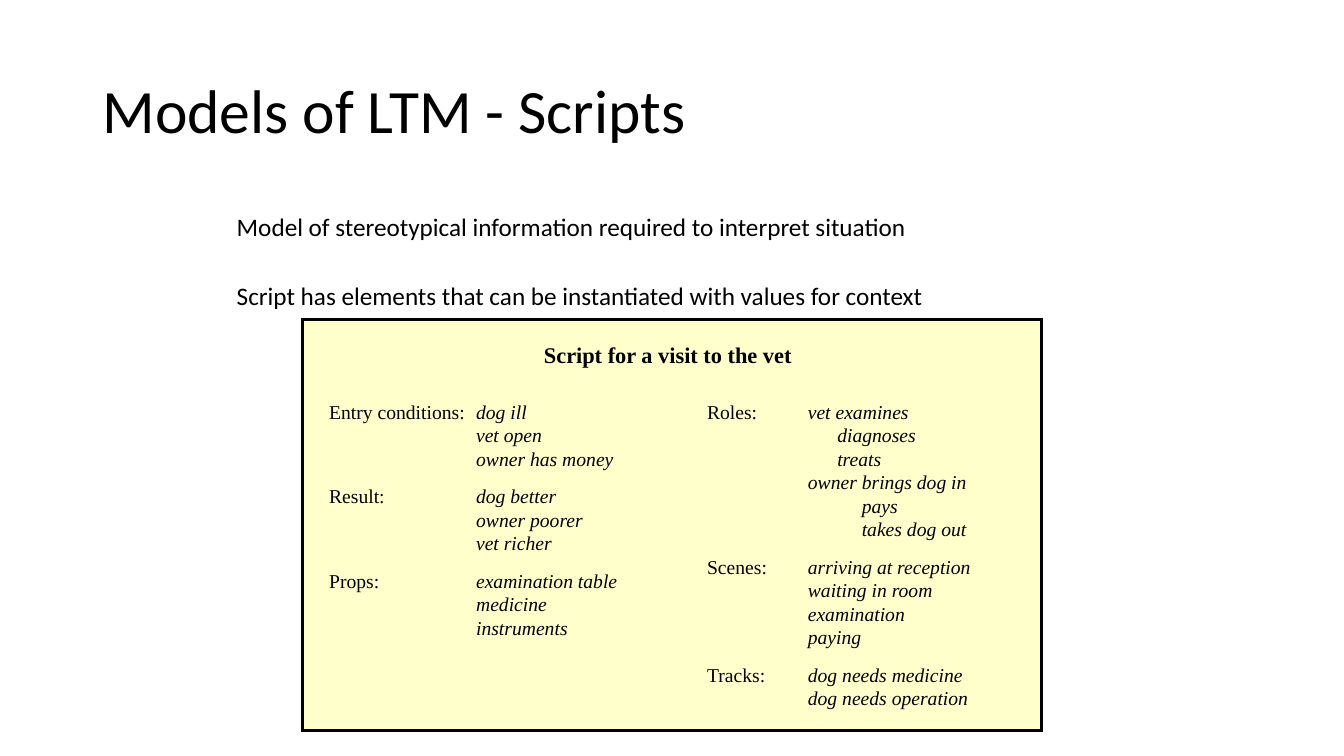
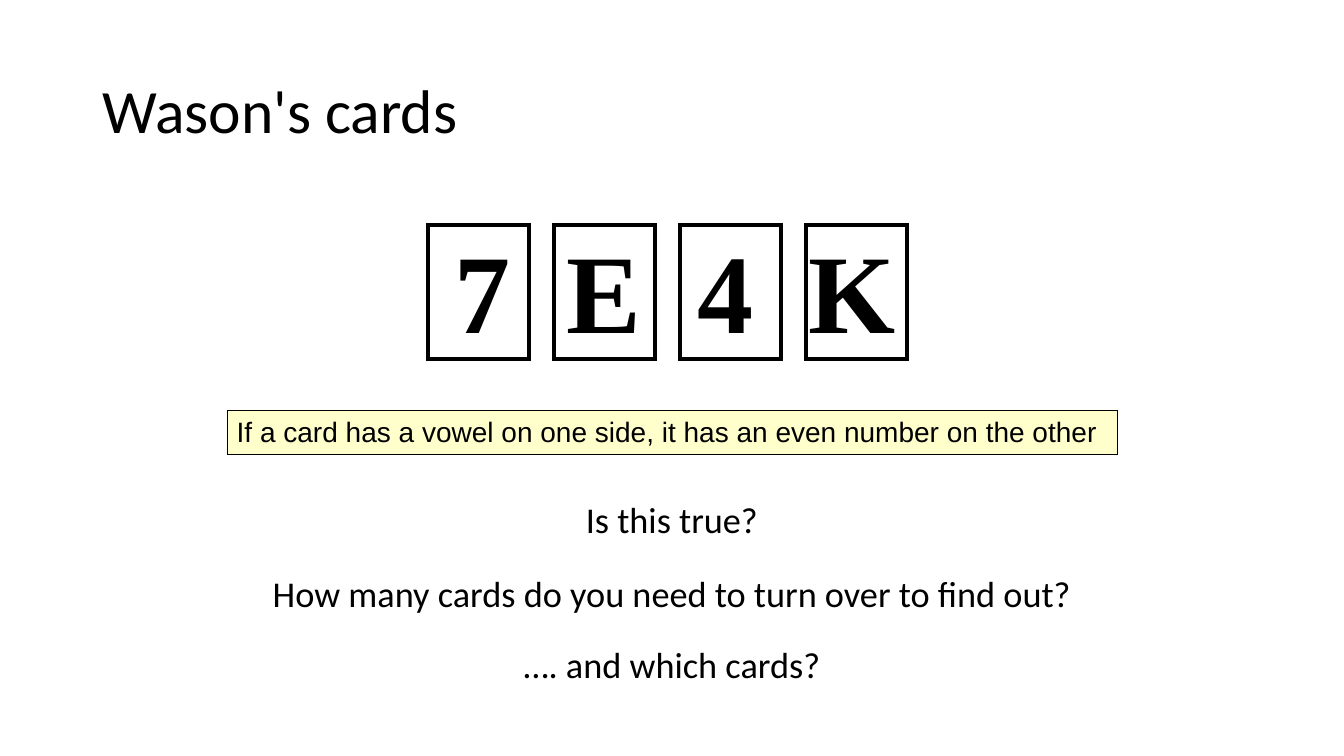
"""Builds two slides on memory scripts and on Wason's cards."""
import pptx
import pptx.dml.color
import pptx.enum.shapes
import pptx.enum.text
import pptx.oxml
import pptx.oxml.ns
import pptx.util

Pt = pptx.util.Pt
RGB = pptx.dml.color.RGBColor.from_string
ALIGN = pptx.enum.text.PP_ALIGN
ANCHOR = pptx.enum.text.MSO_ANCHOR
RECT = pptx.enum.shapes.MSO_SHAPE.RECTANGLE
SPACE = pptx.oxml.ns.nsdecls("a")

THEME = {
    "ink": RGB("000000"),
    "cream": RGB("FFFFCC"),
    "title": {"name": "Calibri", "size": Pt(44)},
    "body": {"name": "Calibri", "size": Pt(18)},
    "ask": {"name": "Calibri", "size": Pt(25.9)},
    "head": {"name": "Times New Roman", "size": Pt(16), "bold": True},
    "entry": {"name": "Times New Roman", "size": Pt(14)},
    "rule": {"name": "Arial", "size": Pt(20)},
    "card": {"name": "Times New Roman", "size": Pt(80), "bold": True},
}


def add_box(slide, place, fill=None, line=None):
    """Add a text box, or a rectangle when a fill or line is given."""
    lengths = [Pt(length) for length in place]
    if fill is None and line is None:
        box = slide.shapes.add_textbox(*lengths)
    else:
        box = slide.shapes.add_shape(RECT, *lengths)
        box.shadow.inherit = False
        if fill is None:
            box.fill.background()
        else:
            box.fill.solid()
            box.fill.fore_color.rgb = fill
        if line is None:
            box.line.fill.background()
        else:
            box.line.color.rgb = THEME["ink"]
            box.line.width = Pt(line)
            edge = box._element.spPr.find(pptx.oxml.ns.qn("a:ln"))
            edge.append(pptx.oxml.parse_xml(f'<a:miter {SPACE} lim="800000"/>'))
    box.text_frame.word_wrap = True
    box.text_frame.vertical_anchor = ANCHOR.TOP
    return box


def add_text(box, style, runs, first=True, **layout):
    """Write one paragraph of (text, italic) runs and return it."""
    frame = box.text_frame
    para = frame.paragraphs[0] if first else frame.add_paragraph()
    for name, value in {"alignment": ALIGN.LEFT, **layout}.items():
        setattr(para, name, value)
    for text, slant in runs:
        run = para.add_run()
        run.text = text
        for name, value in {**THEME[style], "italic": slant}.items():
            setattr(run.font, name, value)
        run.font.color.rgb = THEME["ink"]
    return para


deck = pptx.Presentation()
deck.slide_width, deck.slide_height = Pt(960), Pt(540)

slides = []
for title in ["Models of LTM - Scripts", "Wason's cards"]:
    slide = deck.slides.add_slide(deck.slide_layouts[6])
    box = add_box(slide, (66.2, 29, 828, 104))
    box.text_frame.vertical_anchor = ANCHOR.MIDDLE
    add_text(box, "title", [(title, False)], line_spacing=0.9)
    slides.append(slide)
script, cards = slides

bodies = [
    (script, (162, 150, 636, 84), "body", ALIGN.LEFT, 0.9, [
        ("Model of stereotypical information required to interpret situation", 0),
        ("Script has elements that can be instantiated with values for context", 30),
    ]),
    (cards, (174, 360, 612, 138), "ask", ALIGN.CENTER, 0.7, [
        ("Is this true?", 0),
        ("How many cards do you need to turn over to find out?", 31),
        ("…. and which cards?", 29.5),
    ]),
]
for slide, place, style, align, pitch, lines in bodies:
    box = add_box(slide, place)
    for row, (text, gap) in enumerate(lines):
        add_text(box, style, [(text, False)], row == 0, alignment=align,
                 line_spacing=pitch, space_before=Pt(gap))

add_box(script, (216, 228, 528, 294), THEME["cream"], 2.25)
head = add_box(script, (378, 240, 198, 27), THEME["cream"])
add_text(head, "head", [("Script for a visit to the vet", False)], alignment=ALIGN.CENTER)

columns = [
    (228, 234, 179, 105, [
        ("Entry conditions:", [("dog ill", 0), ("vet open", 0), ("owner has money", 0)]),
        ("Result:", [("dog better", 0), ("owner poorer", 0), ("vet richer", 0)]),
        ("Props:", [("examination table", 0), ("medicine", 0), ("instruments", 0)]),
    ]),
    (498, 204.5, 230, 72, [
        ("Roles:", [("vet examines", 0), ("diagnoses", 21), ("treats", 21),
                    ("owner brings dog in", 0), ("pays", 38.5), ("takes dog out", 38.5)]),
        ("Scenes:", [("arriving at reception", 0), ("waiting in room", 0),
                     ("examination", 0), ("paying", 0)]),
        ("Tracks:", [("dog needs medicine", 0), ("dog needs operation", 0)]),
    ]),
]
for left, width, height, stop, groups in columns:
    box = add_box(script, (left, 282, width, height), THEME["cream"])
    for part, (label, lines) in enumerate(groups):
        for row, (text, inset) in enumerate(lines):
            runs = [(text, True)]
            if row == 0:
                runs.insert(0, (label + "\t", False))
            gap = 9.8 if part and row == 0 else 0
            para = add_text(box, "entry", runs, part + row == 0, space_before=Pt(gap))
            props = para._p.get_or_add_pPr()
            if row == 0:
                props.append(pptx.oxml.parse_xml(
                    f'<a:tabLst {SPACE}><a:tab pos="{Pt(stop)}" algn="l"/></a:tabLst>'))
            else:
                props.set("marL", str(Pt(stop + inset)))
                props.set("indent", "0")

rule = add_box(cards, (162, 292.8, 636, 31.5), THEME["cream"], 0.25)
add_text(rule, "rule",
         [("If a card has a vowel on one side, it has an even number on the other", False)])

for spot, (face, shift) in enumerate(zip("7E4K", (3, -0.7, -3.5, -3.5))):
    card = add_box(cards, (306 + 90 * spot, 160.5, 72, 96), line=3)
    layout = {
        "margin_left": Pt(max(2 * shift, 0)),
        "margin_right": Pt(max(-2 * shift, 0)),
        "margin_top": 0,
        "margin_bottom": Pt(5),
        "vertical_anchor": ANCHOR.MIDDLE,
    }
    for name, value in layout.items():
        setattr(card.text_frame, name, value)
    add_text(card, "card", [(face, False)], alignment=ALIGN.CENTER)

deck.save("out.pptx")
